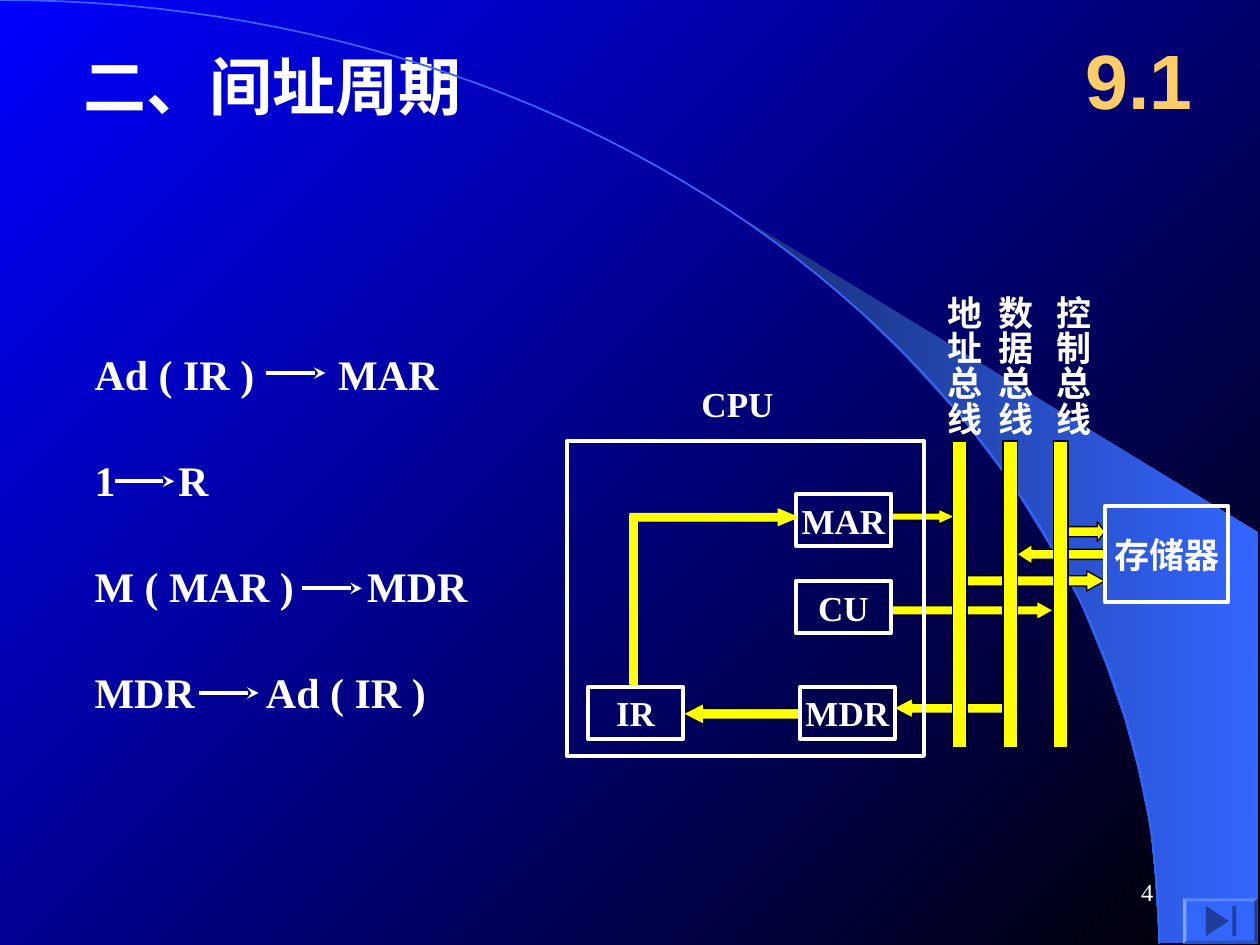
from dataclasses import dataclass

from lxml.etree import SubElement
from pptx import Presentation
from pptx.dml.color import RGBColor
from pptx.enum.shapes import MSO_CONNECTOR, MSO_SHAPE
from pptx.enum.text import MSO_ANCHOR, PP_ALIGN
from pptx.oxml.ns import qn
from pptx.util import Pt


@dataclass(frozen=True)
class Theme:
    white: str = "FFFFFF"
    black: str = "000000"
    yellow: str = "FFFF00"
    gold: str = "FFCC66"
    blue: str = "3366FF"
    dark_blue: str = "182F76"
    icon: str = "1F3D99"
    sky: str = "0000FF"
    serif: str = "Times New Roman"
    sans: str = "Arial"
    title: int = 36
    section: int = 44
    step: int = 24
    label: int = 20
    number: int = 14
    thin: float = 0.75
    thick: float = 2.25


THEME = Theme()


def color(code):
    return RGBColor.from_string(code)


def write(frame, text, size=THEME.label, font=THEME.serif, ink=THEME.white, bold=True,
          align=PP_ALIGN.LEFT, anchor=MSO_ANCHOR.MIDDLE, insets=(7.2, 3.6),
          wrap=False, tab=None, vertical=False):
    frame.word_wrap = wrap
    frame.vertical_anchor = anchor
    frame.margin_left = frame.margin_right = Pt(insets[0])
    frame.margin_top = frame.margin_bottom = Pt(insets[1])
    if vertical:
        frame._txBody.bodyPr.set("vert", "eaVert")
    paragraph = frame.paragraphs[0]
    paragraph.alignment = align
    if tab:
        stops = SubElement(paragraph._p.get_or_add_pPr(), qn("a:tabLst"))
        SubElement(stops, qn("a:tab"), pos=str(Pt(tab)), algn="l")
    run = paragraph.add_run()
    run.text = text
    run.font.size, run.font.name, run.font.bold = Pt(size), font, bold
    run.font.color.rgb = color(ink)


def add_label(shapes, box, text, **style):
    label = shapes.add_textbox(*map(Pt, box))
    write(label.text_frame, text, **style)


def paint(shape, fill=None, line=None, width=THEME.thin):
    shape.shadow.inherit = False
    if fill:
        shape.fill.solid()
        shape.fill.fore_color.rgb = color(fill)
    else:
        shape.fill.background()
    if line:
        shape.line.color.rgb = color(line)
        shape.line.width = Pt(width)
    else:
        shape.line.fill.background()


def shade(fill, start, end, angle):
    fill.gradient()
    fill.gradient_angle = angle
    for stop, code, position in zip(fill.gradient_stops, (start, end), (0, 1)):
        stop.color.rgb = color(code)
        stop.position = position


def add_outline(shapes, points, close=True):
    corners = [(Pt(x), Pt(y)) for x, y in points]
    builder = shapes.build_freeform(*corners[0], scale=1.0)
    builder.add_line_segments(corners[1:], close=close)
    return builder.convert_to_shape()


def add_backdrop(slide, width, height):
    shade(slide.background.fill, THEME.sky, THEME.black, 315)
    # Blue wedge beyond the arc
    wedge = add_outline(slide.shapes, [
        (662.4, 538.6), (719.3, 539.3), (719.3, 304.6), (424.1, 124.6), (449.3, 143.3),
        (470.2, 159.8), (493.2, 180), (515.5, 201.6), (548.6, 237.6), (578.2, 276.5),
        (599, 310.3), (617.8, 344.9), (632.2, 380.2), (643, 411.8), (650.2, 438.5),
        (657.4, 472.3), (660.2, 501.1)])
    paint(wedge)
    shade(wedge.fill, THEME.dark_blue, THEME.blue, 0)
    # Arc, sampled from a cubic curve
    radius_x, radius_y, steps = 0.92 * width, height - 0.7, 60
    arc = []
    for step in range(steps + 1):
        t = step / steps
        x = radius_x * (3 * (1 - t) ** 2 * t * 0.552 + 3 * (1 - t) * t ** 2 + t ** 3)
        y = radius_y * (3 * (1 - t) * t ** 2 * 0.448 + t ** 3)
        arc.append((x, y))
    paint(add_outline(slide.shapes, arc, close=False), line=THEME.blue, width=1)


def add_heading(slide, box):
    left, top, width, height = box
    title = slide.shapes.title
    title.left, title.top, title.width, title.height = map(Pt, (left, top, 255, 34))
    write(title.text_frame, "二、间址周期", size=THEME.title, insets=(0, 0))
    add_label(slide.shapes, (left + width - 90, top - 19.5, 90, 66), "9.1",
              size=THEME.section, font=THEME.sans, ink=THEME.gold,
              align=PP_ALIGN.CENTER, wrap=True)


def add_steps(shapes, box):
    left, top, width, height = box
    row_height, pitch = 34, (height - 34) / 3
    # Source, target, target offset, arrow offset from the row's corner
    steps = [("Ad ( IR )", "MAR", 139.2, 98, 16.6),
             ("1", "R", 47.8, 11.6, 18),
             ("M ( MAR )", "MDR", 155.8, 118.8, 18.7),
             ("MDR", "Ad ( IR )", 98, 59.8, 18)]
    for row, (source, target, tab, arrow_x, arrow_y) in enumerate(steps):
        y = top + row * pitch
        add_label(shapes, (left, y, width, row_height), f"{source}\t{target}",
                  size=THEME.step, insets=(0, 0), tab=tab)
        start, level = left + arrow_x, y + arrow_y
        arrow = shapes.add_connector(MSO_CONNECTOR.STRAIGHT, Pt(start), Pt(level),
                                     Pt(start + 34), Pt(level))
        arrow.line.color.rgb = color(THEME.white)
        arrow.line.width = Pt(THEME.thick)
        SubElement(arrow.line._get_or_add_ln(), qn("a:tailEnd"), type="stealth")
        SubElement(arrow._element.spPr, qn("a:effectLst"))


def add_cpu_diagram(shapes, box):
    left, top, width, height = box

    def block(x, y, w, h, fill=None, line=THEME.black, weight=THEME.thin,
              kind=MSO_SHAPE.RECTANGLE):
        part = shapes.add_shape(kind, Pt(left + x), Pt(top + y), Pt(w), Pt(h))
        paint(part, fill, line, weight)
        return part

    def frame(x, y, w, h, text=None):
        part = block(x, y, w, h, line=THEME.white, weight=THEME.thick)
        if text:
            write(part.text_frame, text, align=PP_ALIGN.CENTER)

    def flow(x, y, w, h, head, shaft=0.5, back=False, line=THEME.black):
        arrow = block(x, y, w, h, THEME.yellow, line, kind=MSO_SHAPE.RIGHT_ARROW)
        arrow.adjustments[0], arrow.adjustments[1] = shaft, head
        arrow.rotation = 180 if back else 0

    # Flows through the CPU, then its frame
    flow(186.5, 146.9, 62.6, 11.5, 0.95, back=True)
    flow(66.2, 149.8, 66.2, 12.2, 0.98, back=True)
    flow(185.8, 91.4, 92.2, 10.8, 0.89, shaft=0.49)
    flow(185.8, 38.9, 36, 8.6, 1.09, shaft=0.49)
    frame(0, 0, 204, height)
    add_label(shapes, (left + 69.8, top - 36.7, 55.4, 31.7), "CPU", anchor=MSO_ANCHOR.TOP)

    # Flows between buses and memory
    flow(257, 59, 49.7, 11.5, 0.76, back=True)
    flow(228.2, 74.2, 79.2, 11.5, 0.9)
    flow(282.2, 46.1, 25.2, 11.5, 0.38)
    block(281.5, 48.2, 3.6, 7.2, THEME.yellow, THEME.yellow)

    # Registers and control unit
    for text, x, y in [("MDR", 133.2, 140.4), ("CU", 131, 79.9),
                       ("MAR", 131, 30.2), ("IR", 12.2, 140.4)]:
        frame(x, y, 54, 30, text)

    # Buses with vertical names
    for index, (bus, name_x) in enumerate([("地址总线", 204.5), ("数据总线", 233.3),
                                           ("控制总线", 266.4)]):
        block(220.3 + index * 28.8, 0, 8.4, 175, THEME.yellow)
        add_label(shapes, (left + name_x, top - 90, 38, 88), bus,
                  anchor=MSO_ANCHOR.TOP, insets=(3.6, 7.2), vertical=True)

    frame(width - 70.6, 37.4, 70.6, 54.7, "存储器")

    # Bent path from IR up to MAR
    block(36, 42.5, 4.3, 96.5, THEME.yellow, THEME.yellow)
    flow(36, 38.9, 95.8, 9.4, 1.18, shaft=0.46, line=THEME.yellow)


def add_footer(shapes, box):
    left, top, width, height = box
    # Forward button
    button = shapes.add_shape(MSO_SHAPE.BEVEL, Pt(left + width - 42.5),
                              Pt(top + height - 26), Pt(42.5), Pt(26))
    button.adjustments[0] = 0.07
    paint(button, THEME.blue)
    x, y = left + width - 29.5, top + height - 21.6
    paint(add_outline(shapes, [(x, y), (x + 13, y + 8.6), (x, y + 17.2)]), THEME.icon)
    bar = shapes.add_shape(MSO_SHAPE.RECTANGLE, Pt(x + 15.1), Pt(y), Pt(2.2), Pt(17.2))
    paint(bar, THEME.icon)
    # Slide number
    add_label(shapes, (left, top, 150, 36), "4", size=THEME.number, bold=False,
              align=PP_ALIGN.RIGHT, wrap=True)


def main():
    deck = Presentation()
    deck.slide_width, deck.slide_height = Pt(720), Pt(540)
    slide = deck.slides.add_slide(deck.slide_layouts[5])
    add_backdrop(slide, 720, 540)
    add_heading(slide, (48, 31.7, 648, 34))
    add_steps(slide.shapes, (54, 196.6, 226.8, 215.4))
    add_cpu_diagram(slide.shapes, (324, 252, 378, 180))
    add_footer(slide.shapes, (516.2, 491.8, 202.4, 47.5))
    deck.save("out.pptx")


if __name__ == "__main__":
    main()
